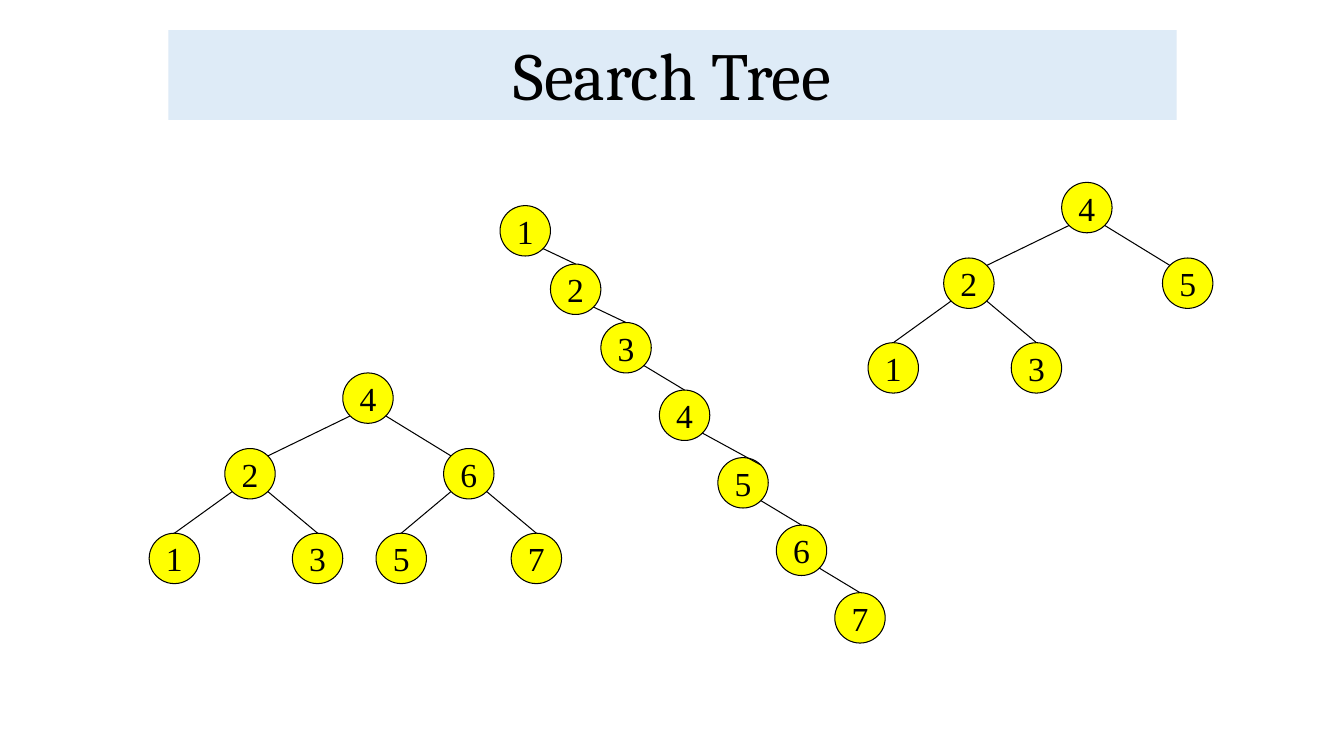
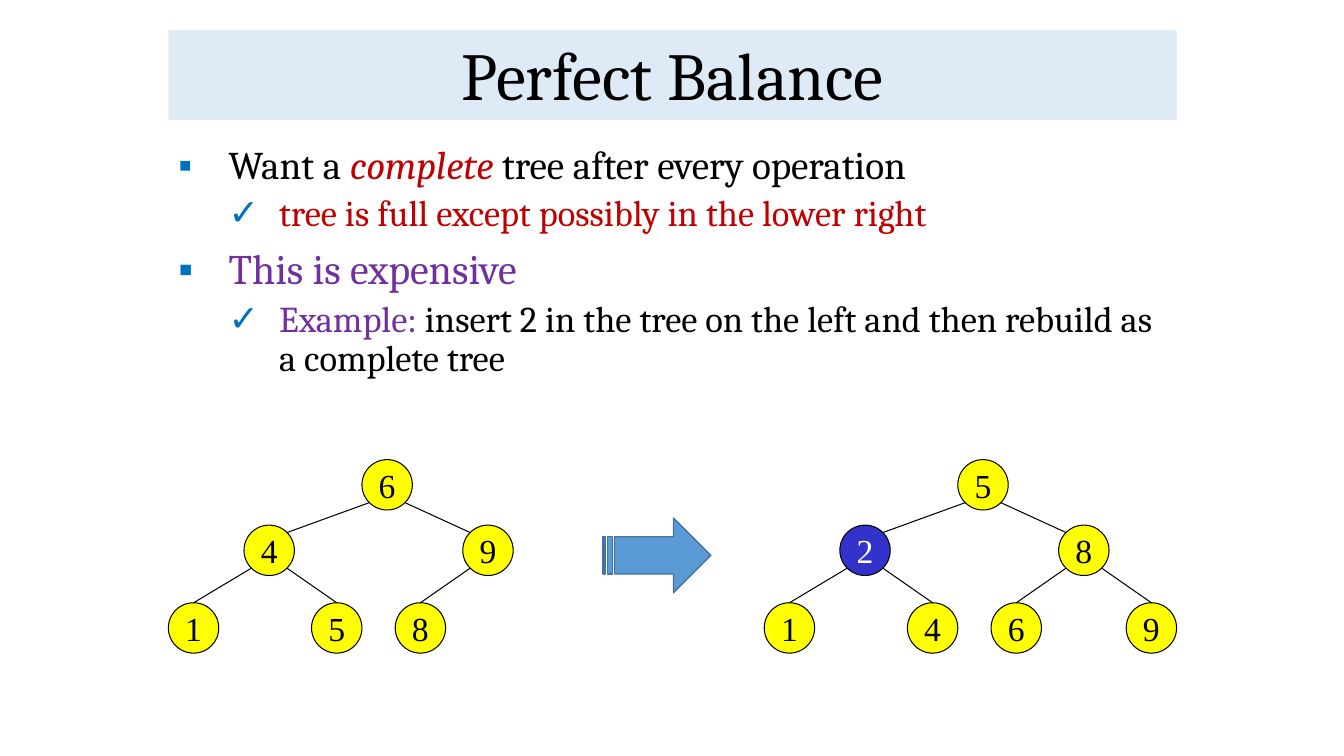
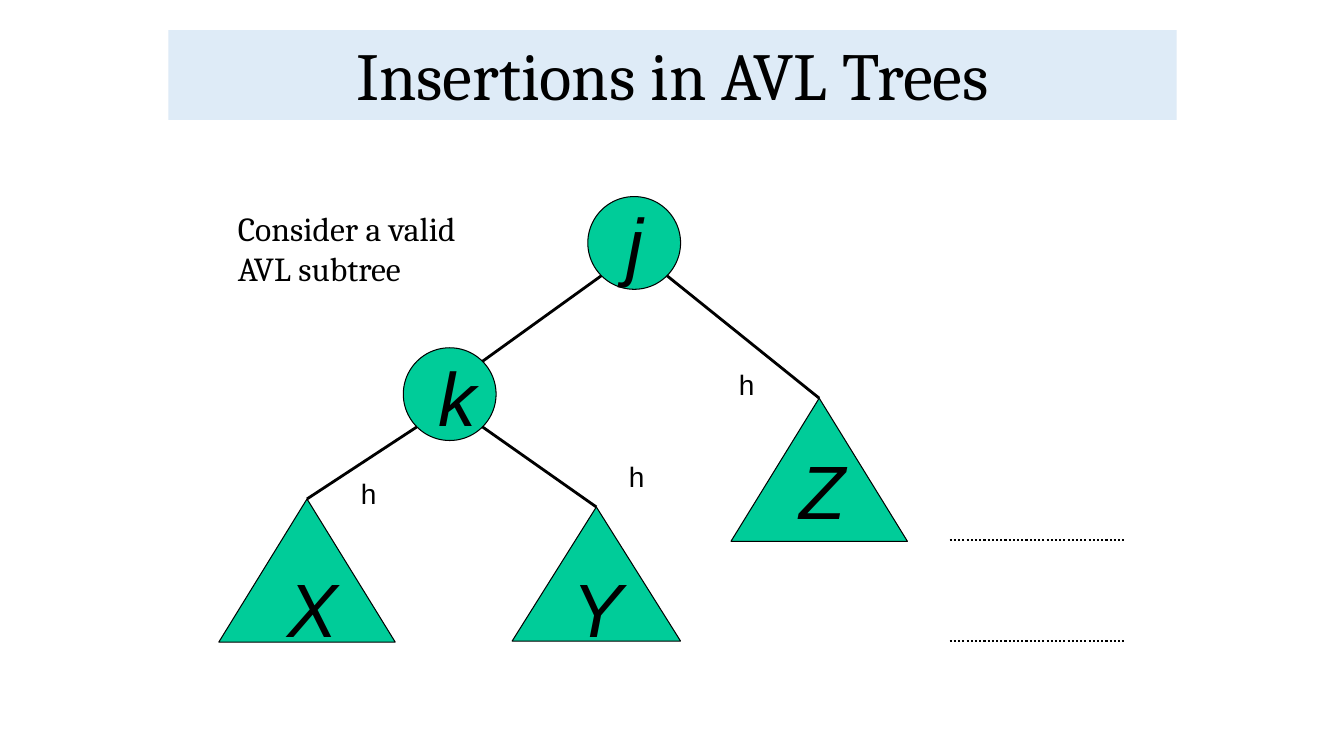
from lxml import etree
from pptx import Presentation
from pptx.dml.color import RGBColor
from pptx.enum import dml, shapes, text
from pptx.oxml.ns import qn
from pptx.util import Inches, Pt

BLACK, WHITE, BAND = "000000", "FFFFFF", "DEEBF7"
YELLOW, BLUE, GREEN = "FFFF00", "3333CC", "00CC99"
RED, PURPLE, MARK = "C00000", "7030A0", "0070C0"
SERIF, SANS, KEY = "Cambria", "Arial", "Times New Roman"
SHAPE = shapes.MSO_SHAPE
NODE = 0.5
DIAG = 0.3536  # half of cos 45°, as a share of a circle's width

# Offsets of the seven places of a three-level tree, level by level
SLOTS = [1.92, 0.75, 2.92, 0, 1.42, 2.25, 3.59]


def rgb(code):
    return RGBColor.from_string(code)


def style(run, size, face, color=BLACK, italic=False):
    font = run.font
    font.size, font.name, font.italic = Pt(size), face, italic
    font.color.rgb = rgb(color)


def shape(slide, kind, box, fill, line=None, width=0.75):
    item = slide.shapes.add_shape(kind, *map(Inches, box))
    item.shadow.inherit = False
    item.fill.solid()
    item.fill.fore_color.rgb = rgb(fill)
    if line:
        item.line.color.rgb = rgb(line)
        item.line.width = Pt(width)
    else:
        item.line.fill.background()
    return item


def label(slide, box, lines, size, face, italic=False, inset=0.05):
    item = slide.shapes.add_textbox(*map(Inches, box))
    frame = item.text_frame
    frame.word_wrap = True
    frame.margin_top = Inches(inset)
    frame.text = lines
    for para in frame.paragraphs:
        style(para.runs[0], size, face, italic=italic)


def line(slide, start, end, width=0.75):
    item = slide.shapes.add_connector(shapes.MSO_CONNECTOR.STRAIGHT, *start, *end)
    item.line.color.rgb = rgb(BLACK)
    item.line.width = Pt(width)
    etree.SubElement(item._element.spPr, qn("a:effectLst"))
    return item


def corner(node, across, down):
    """Point on a circle, halfway between two of its quarter points."""
    return (int(node.left + node.width * (0.5 + across * DIAG)),
            int(node.top + node.height * (0.5 + down * DIAG)))


def link(slide, parent, child, side, end=0, width=0.75):
    """Edge from the parent's lower corner to the child's top (end 0) or upper corner."""
    item = line(slide, corner(parent, side, 1), corner(child, end, -1), width)
    if end == 0:
        item.end_connect(child, 0)


def circle(slide, left, top, key, fill=YELLOW):
    node = shape(slide, SHAPE.OVAL, (left, top, NODE, NODE), fill, BLACK)
    frame = node.text_frame
    frame.word_wrap = False
    frame.vertical_anchor = text.MSO_ANCHOR.MIDDLE
    frame.text = str(key)
    para = frame.paragraphs[0]
    para.alignment = text.PP_ALIGN.CENTER
    style(para.runs[0], 24, KEY, WHITE if fill == BLUE else BLACK)
    return node


def tree(slide, left, top, keys, levels, fresh=None):
    """Three-level tree; keys go level by level, None is a gap, fresh is the new key."""
    nodes = {}
    for i, key in enumerate(keys):
        if key is not None:
            level = (i + 1).bit_length() - 1
            fill = BLUE if key == fresh else YELLOW
            nodes[i] = circle(slide, left + SLOTS[i], top + levels[level], key, fill)
    for i in nodes:
        if i:
            side = -1 if i % 2 else 1
            link(slide, nodes[(i - 1) // 2], nodes[i], side, -side if i < 3 else 0)


def chain(slide, left, top, count):
    """Tree in which every node has only a right child."""
    nodes = []
    for key in range(1, count + 1):
        nodes.append(circle(slide, left, top, key))
        left, top = (left + 0.5, top + 0.58) if key < 3 else (left + 0.58, top + 0.67)
    for i, (parent, child) in enumerate(zip(nodes, nodes[1:]), 1):
        link(slide, parent, child, 1, 1 if i == 4 else 0)


def bullets(slide, box, items):
    """Outline of (level, size, runs), where a run is (words, colour, italic)."""
    frame = slide.shapes.add_textbox(*map(Inches, box)).text_frame
    frame.word_wrap = True
    for i, (level, size, runs) in enumerate(items):
        para = frame.paragraphs[0] if i == 0 else frame.add_paragraph()
        para.level = level
        para.line_spacing = 0.9
        para.space_before = Pt(0 if i == 0 else 5 if level else 10)
        props = para._p.get_or_add_pPr()
        props.set("marL", str(Inches(0.5 + 0.5 * level)))
        props.set("indent", str(Inches(-0.5)))
        tint = etree.SubElement(props, qn("a:buClr"))
        etree.SubElement(tint, qn("a:srgbClr"), val=MARK)
        etree.SubElement(props, qn("a:buFont"), typeface=SANS)
        etree.SubElement(props, qn("a:buChar"), char="▪✓"[level])
        for words, color, italic in runs:
            run = para.add_run()
            run.text = words
            style(run, size, SERIF, color, italic)


def subtree(slide, left, top):
    """General AVL subtree: two nodes, three subtrees of height h."""
    def part(kind, name, x, y, wide, high, dx, dy):
        item = shape(slide, kind, (left + x, top + y, wide, high), GREEN, BLACK)
        names.append((name, left + x + dx, top + y + dy))
        return item

    names = []
    j = part(SHAPE.OVAL, "j", 3.66, 0, 0.92, 0.92, 0.29, -0.12)
    k = part(SHAPE.OVAL, "k", 1.83, 1.5, 0.92, 0.92, 0.25, -0.09)
    x = part(SHAPE.ISOSCELES_TRIANGLE, "X", 0, 3, 1.75, 1.42, 0.58, 0.5)
    y = part(SHAPE.ISOSCELES_TRIANGLE, "Y", 2.91, 3.08, 1.67, 1.33, 0.5, 0.42)
    z = part(SHAPE.ISOSCELES_TRIANGLE, "Z", 5.08, 2, 1.75, 1.42, 0.58, 0.33)
    for parent, child, side, end in ((j, k, -1, 1), (j, z, 1, 0),
                                     (k, x, -1, 0), (k, y, 1, 0)):
        link(slide, parent, child, side, end, 2)
    for name, across, down in names:
        label(slide, (across, down, 0.56, 1), name, 54, SANS, True, 0.12)
    for across, down in ((5.06, 1.65), (1.31, 2.73), (3.97, 2.56)):
        label(slide, (left + across, top + down, 0.36, 0.43), "h", 20, SANS)
    for down in (3.41, 4.41):
        level = Inches(top + down)
        rule = line(slide, (Inches(left + 7.25), level), (Inches(left + 9), level), 1.5)
        rule.line.dash_style = dml.MSO_LINE.ROUND_DOT


def page(deck, title):
    """Blank slide with the title band."""
    slide = deck.slides.add_slide(deck.slide_layouts[6])
    band = shape(slide, SHAPE.RECTANGLE, (1.67, 0.3, 10, 0.89), BAND)
    frame = band.text_frame
    frame.vertical_anchor = text.MSO_ANCHOR.BOTTOM
    frame.text = title
    para = frame.paragraphs[0]
    para.alignment = text.PP_ALIGN.CENTER
    para.line_spacing = 0.9
    style(para.runs[0], 48, SERIF)
    return slide


def search(deck):
    slide = page(deck, "Search Tree")
    levels = (0, 0.75, 1.59)
    tree(slide, 1.48, 3.7, [4, 2, 6, 1, 3, 5, 7], levels)
    chain(slide, 4.96, 2.04, 7)
    tree(slide, 8.61, 1.81, [4, 2, 5, 1, 3], levels)


def balance(deck):
    slide = page(deck, "Perfect Balance")
    bullets(slide, (1.67, 1.4, 10, 4.82), [
        (0, 28, [("Want a ", BLACK, False), ("complete", RED, True),
                 (" tree after every operation", BLACK, False)]),
        (1, 26, [("tree is full except possibly in the lower right", RED, False)]),
        (0, 30, [("This is expensive", PURPLE, False)]),
        (1, 26, [("Example: ", PURPLE, False),
                 ("insert 2 in the tree on the left and then rebuild as "
                  "a complete tree", BLACK, False)]),
    ])
    levels = (0, 0.65, 1.42)
    tree(slide, 1.67, 4.56, [6, 4, 9, 1, 5, 8], levels)
    tree(slide, 7.58, 4.56, [5, 2, 8, 1, 4, 6, 9], levels, fresh=2)
    shape(slide, SHAPE.STRIPED_RIGHT_ARROW, (5.98, 5.14, 1.07, 0.74),
          "5B9BD5", "43739E", 1)


def insertion(deck):
    slide = page(deck, "Insertions in AVL Trees")
    subtree(slide, 2.17, 1.95)
    label(slide, (2.26, 2.01, 2.59, 0.91), "Consider a valid\nAVL subtree", 24, SERIF)


def main():
    deck = Presentation()
    deck.slide_width, deck.slide_height = Inches(13.33), Inches(7.5)
    for build in (search, balance, insertion):
        build(deck)
    deck.save("out.pptx")


if __name__ == "__main__":
    main()
